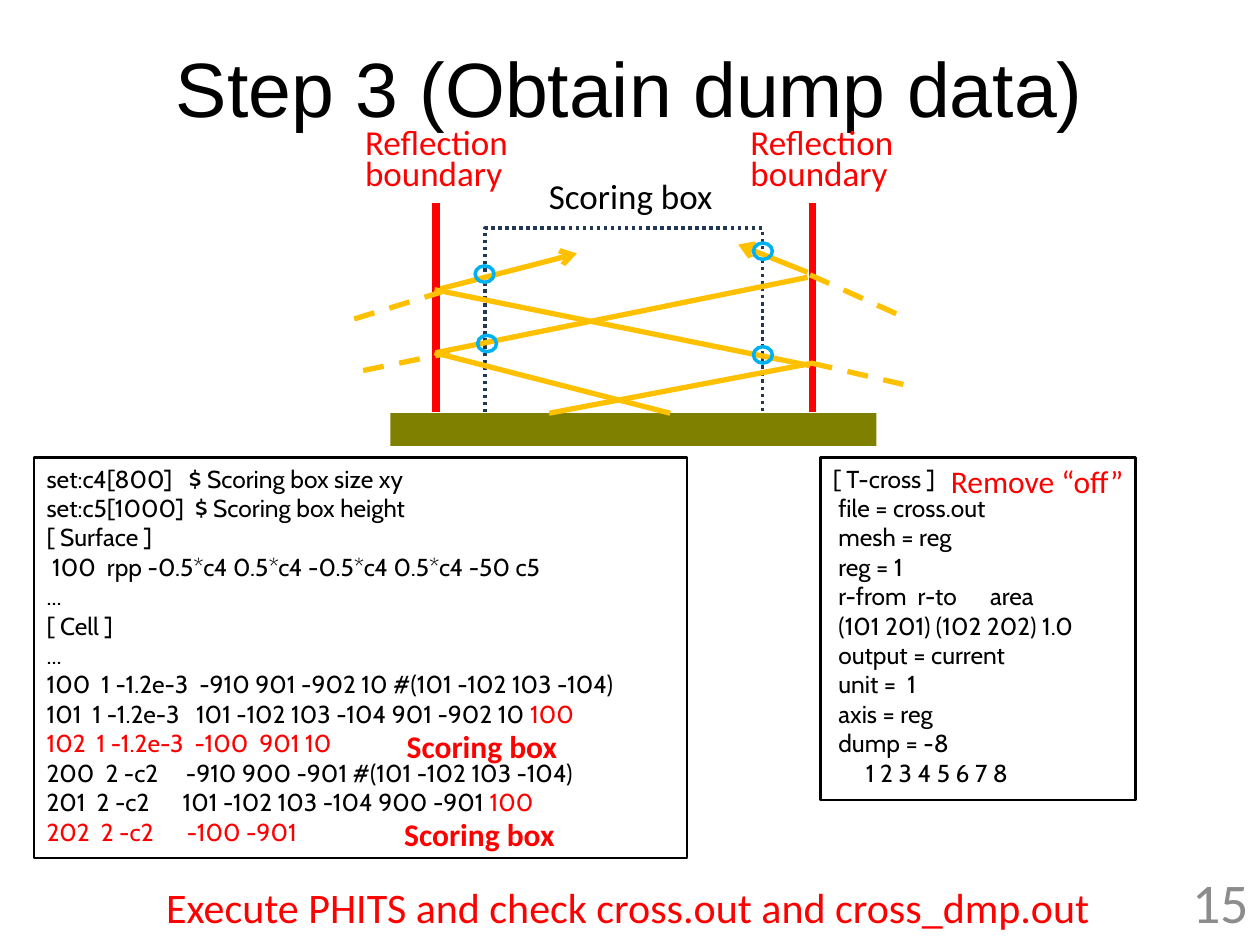
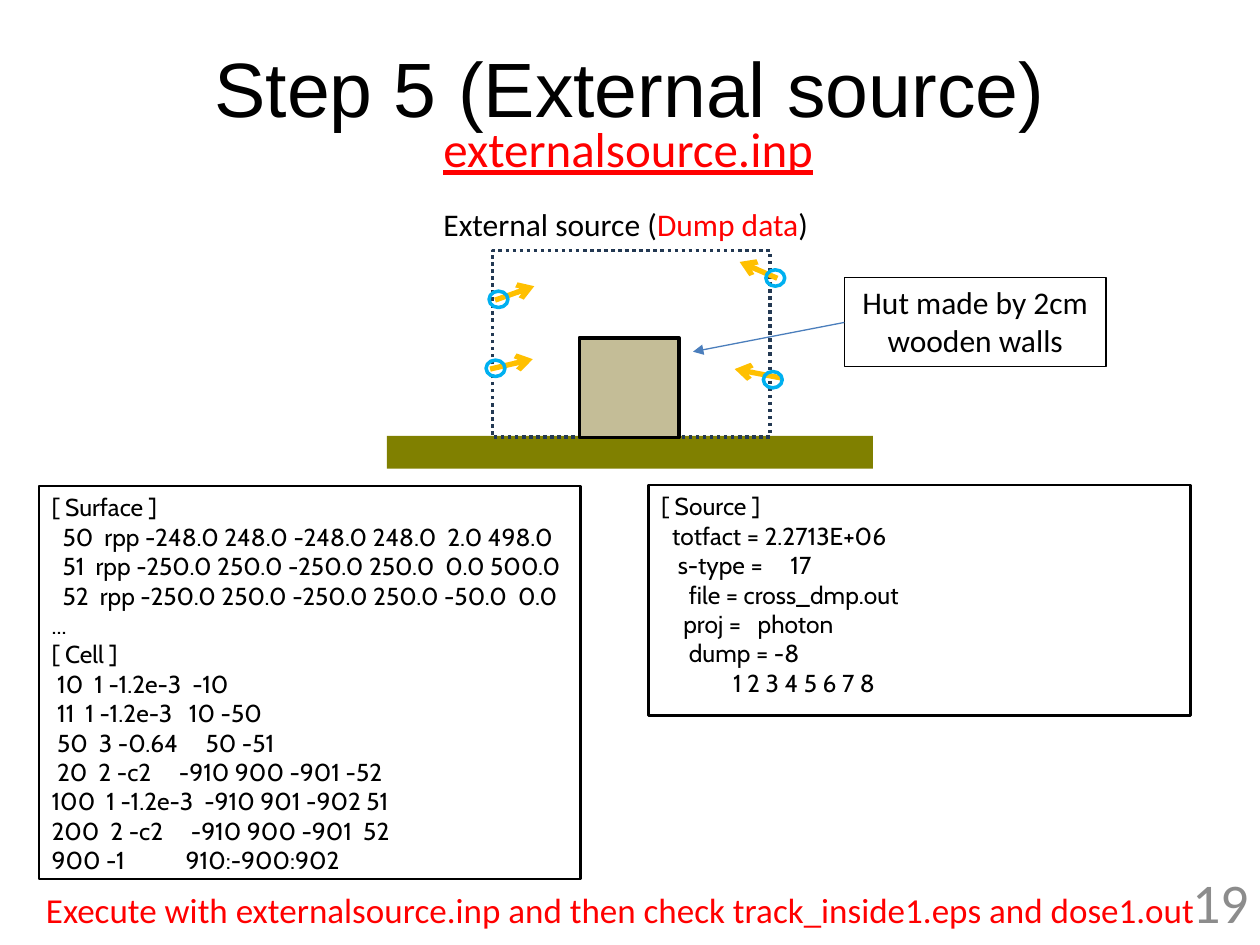
from dataclasses import dataclass
from typing import NamedTuple

from lxml import etree
from pptx import Presentation
from pptx.dml.color import RGBColor
from pptx.enum.dml import MSO_LINE
from pptx.enum.shapes import MSO_CONNECTOR, MSO_SHAPE
from pptx.enum.text import MSO_ANCHOR, PP_ALIGN
from pptx.oxml.ns import qn
from pptx.util import Cm, Pt

RECTANGLE, OVAL = MSO_SHAPE.RECTANGLE, MSO_SHAPE.OVAL
STRAIGHT = MSO_CONNECTOR.STRAIGHT
LEFT, CENTER, RIGHT = PP_ALIGN.LEFT, PP_ALIGN.CENTER, PP_ALIGN.RIGHT
TOP, MIDDLE = MSO_ANCHOR.TOP, MSO_ANCHOR.MIDDLE
DOTTED, DASHED = MSO_LINE.ROUND_DOT, MSO_LINE.DASH

BLACK, WHITE, RED, GREY = "000000", "FFFFFF", "FF0000", "8C8C8C"
NAVY, ORANGE, CYAN, BLUE = "233953", "FFC000", "00B0F0", "4B7EBC"
SOIL, WOOD = "808000", "C4BD97"
TITLE_FONT, CODE_FONT, LABEL_FONT = "Arial", "Cabin", "Calibri"


class Box(NamedTuple):
    """Left, top, width and height in centimetres."""
    left: float
    top: float
    width: float
    height: float


class Run(NamedTuple):
    text: str
    colour: str


@dataclass(frozen=True)
class TextStyle:
    size: float
    colour: str = BLACK
    font: str = LABEL_FONT
    align: int = LEFT
    anchor: int = TOP
    bold: bool = False
    underline: bool = False
    line_spacing: float | None = None


@dataclass(frozen=True)
class LineStyle:
    colour: str
    width: float
    dash: int | None = None
    arrowhead: str | None = None


class Segment(NamedTuple):
    """Start and end point in centimetres."""
    x1: float
    y1: float
    x2: float
    y2: float


# A text line is a plain string, or a list mixing strings and coloured runs
TextLine = str | list[str | Run]

TITLE = TextStyle(44, font=TITLE_FONT, align=CENTER, anchor=MIDDLE)
CODE = TextStyle(14, font=CODE_FONT)
PAGE_NUMBER = TextStyle(32, GREY, align=RIGHT, anchor=MIDDLE)
BOUNDARY_LABEL = TextStyle(20, RED, line_spacing=18)
CELL_NOTE = TextStyle(18, RED, bold=True)

OUTLINE = LineStyle(BLACK, 1.5)
SCORING_OUTLINE = LineStyle(NAVY, 2, DOTTED)
WALL = LineStyle(RED, 4.5)
TRACK = LineStyle(ORANGE, 3)
TRACK_ARROW = LineStyle(ORANGE, 3, arrowhead="arrow")
TRACK_BEYOND = LineStyle(ORANGE, 3, DASHED)
CROSSING = LineStyle(CYAN, 2)
POINTER = LineStyle(BLUE, 0.75, arrowhead="triangle")


def rgb(colour: str) -> RGBColor:
    return RGBColor.from_string(colour)


def format_line(line, style: LineStyle) -> None:
    line.color.rgb = rgb(style.colour)
    line.width = Pt(style.width)
    if style.dash is not None:
        line.dash_style = style.dash


def write_text(shape, lines: list[TextLine], style: TextStyle) -> None:
    frame = shape.text_frame
    frame.word_wrap = True
    frame.vertical_anchor = style.anchor
    for index, line in enumerate(lines):
        paragraph = frame.add_paragraph() if index else frame.paragraphs[0]
        paragraph.alignment = style.align
        if style.line_spacing is not None:
            paragraph.line_spacing = Pt(style.line_spacing)
        for piece in [line] if isinstance(line, str) else line:
            part = piece if isinstance(piece, Run) else Run(piece, style.colour)
            run = paragraph.add_run()
            run.text = part.text
            run.font.name = style.font
            run.font.size = Pt(style.size)
            run.font.color.rgb = rgb(part.colour)
            run.font.bold = style.bold
            run.font.underline = style.underline


def add_text(slide, box: Box, line: TextLine, style: TextStyle) -> None:
    write_text(slide.shapes.add_textbox(*map(Cm, box)), [line], style)


def add_figure(slide, kind: int, box: Box, fill: str | None, outline: LineStyle | None):
    shape = slide.shapes.add_shape(kind, *map(Cm, box))
    shape.shadow.inherit = False
    if fill:
        shape.fill.solid()
        shape.fill.fore_color.rgb = rgb(fill)
    else:
        shape.fill.background()
    if outline:
        format_line(shape.line, outline)
    else:
        shape.line.fill.background()
    return shape


def add_segment(slide, segment: Segment, style: LineStyle) -> None:
    connector = slide.shapes.add_connector(STRAIGHT, *map(Cm, segment))
    format_line(connector.line, style)
    properties = connector._element.spPr
    if style.arrowhead:
        tail = etree.SubElement(properties.find(qn("a:ln")), qn("a:tailEnd"))
        tail.set("type", style.arrowhead)
    etree.SubElement(properties, qn("a:effectLst"))


def add_segments(slide, segments: list[Segment], style: LineStyle) -> None:
    for segment in segments:
        add_segment(slide, segment, style)


def add_code(slide, box: Box, lines: list[TextLine]) -> None:
    write_text(add_figure(slide, RECTANGLE, box, WHITE, OUTLINE), lines, CODE)


def add_ground(slide, left: float, top: float) -> None:
    add_figure(slide, RECTANGLE, Box(left, top, 9.8, 0.66), SOIL, None)


def add_scoring_box(slide, left: float, top: float) -> None:
    add_figure(slide, RECTANGLE, Box(left, top, 5.59, 3.76), None, SCORING_OUTLINE)


def add_crossings(slide, corners: list[tuple[float, float]]) -> None:
    for left, top in corners:
        add_figure(slide, OVAL, Box(left, top, 0.38, 0.33), None, CROSSING)


def add_titled_slide(presentation, title: str, number: str):
    slide = presentation.slides.add_slide(presentation.slide_layouts[6])
    add_text(slide, Box(1.27, 0.15, 22.86, 3.18), title, TITLE)
    add_text(slide, Box(19.51, 17.65, 5.92, 1.02), number, PAGE_NUMBER)
    return slide


def build_dump_slide(presentation) -> None:
    slide = add_titled_slide(presentation, "Step 3 (Obtain dump data)", "15")

    # Scoring box between two reflecting walls
    add_scoring_box(slide, 9.78, 4.6)
    add_segments(slide, [Segment(16.28, 5.49, 14.88, 4.93),
                         Segment(8.81, 5.84, 11.63, 5.11)], TRACK_ARROW)
    add_ground(slide, 7.87, 8.33)
    add_segments(slide, [Segment(x, 4.09, x, 8.31) for x in (8.79, 16.38)], WALL)
    add_segments(slide, [Segment(11.07, 8.33, 16.38, 7.32),
                         Segment(8.76, 5.84, 16.33, 7.37),
                         Segment(8.76, 7.11, 13.51, 8.33),
                         Segment(8.79, 7.11, 16.28, 5.59)], TRACK)
    add_segments(slide, [Segment(7.14, 6.43, 8.89, 5.89),
                         Segment(7.32, 7.47, 9.07, 7.11),
                         Segment(16.36, 7.32, 18.21, 7.75),
                         Segment(16.33, 5.54, 18.19, 6.38)], TRACK_BEYOND)
    add_crossings(slide, [(15.19, 4.9), (9.58, 5.36), (15.19, 6.99), (9.63, 6.76)])
    for left in (7.11, 14.88):
        add_text(slide, Box(left, 2.51, 3.4, 1.57), "Reflection boundary", BOUNDARY_LABEL)
    add_text(slide, Box(10.24, 3.4, 4.95, 1.12), "Scoring box", TextStyle(20, align=CENTER))

    # Tally input
    add_code(slide, Box(16.54, 9.22, 6.35, 6.91), [
        "[ T-cross ]",
        " file = cross.out",
        " mesh = reg",
        " reg = 1",
        " r-from  r-to      area",
        " (101 201) (102 202) 1.0",
        " output = current",
        " unit =  1",
        " axis = reg",
        " dump = -8",
        "      1 2 3 4 5 6 7 8",
    ])
    add_text(slide, Box(18.92, 9.19, 4.37, 1.02), "Remove “off”", TextStyle(18, RED))

    # Geometry input
    add_code(slide, Box(0.69, 9.22, 13.16, 8.08), [
        "set:c4[800]   $ Scoring box size xy",
        "set:c5[1000]  $ Scoring box height",
        "[ Surface ]",
        " 100  rpp -0.5*c4 0.5*c4 -0.5*c4 0.5*c4 -50 c5",
        "...",
        "[ Cell ]",
        "...",
        "100  1 -1.2e-3  -910 901 -902 10 #(101 -102 103 -104)",
        ["101  1 -1.2e-3   101 -102 103 -104 901 -902 10 ", Run("100", RED)],
        [Run("102  1 -1.2e-3  -100  901 10", RED)],
        "200  2 -c2     -910 900 -901 #(101 -102 103 -104)",
        ["201  2 -c2      101 -102 103 -104 900 -901", Run(" 100", RED)],
        [Run("202  2 -c2      -100 -901", RED)],
    ])
    for left, top in ((7.95, 14.53), (7.9, 16.31)):
        add_text(slide, Box(left, top, 3.91, 1.02), "Scoring box", CELL_NOTE)

    add_text(slide, Box(2.31, 17.65, 20.7, 1.27),
             "Execute PHITS and check cross.out and cross_dmp.out",
             TextStyle(24, RED, align=CENTER))


def build_source_slide(presentation) -> None:
    slide = add_titled_slide(presentation, "Step 5 (External source)", "19")

    # Hut inside the scoring box
    add_ground(slide, 7.8, 8.79)
    add_scoring_box(slide, 9.93, 5.05)
    add_figure(slide, RECTANGLE, Box(11.68, 6.81, 2.01, 2.01), WOOD, LineStyle(BLACK, 2))
    add_segments(slide, [Segment(9.88, 7.44, 10.74, 7.24),
                         Segment(9.98, 6.05, 10.77, 5.77),
                         Segment(15.67, 5.61, 14.91, 5.28),
                         Segment(15.75, 7.62, 14.81, 7.44)], TRACK_ARROW)
    add_crossings(slide, [(15.44, 5.44), (9.86, 5.87), (15.39, 7.49), (9.8, 7.26)])
    add_text(slide, Box(8.69, 4.01, 8.1, 1.02),
             ["External source (", Run("Dump data", RED), ")"], TextStyle(18))

    # Geometry and source input
    add_code(slide, Box(0.79, 9.8, 10.92, 7.92), [
        "[ Surface ]",
        "  50  rpp -248.0 248.0 -248.0 248.0  2.0 498.0",
        "  51  rpp -250.0 250.0 -250.0 250.0  0.0 500.0",
        "  52  rpp -250.0 250.0 -250.0 250.0 -50.0  0.0",
        "...",
        "[ Cell ]",
        " 10  1 -1.2e-3  -10",
        " 11  1 -1.2e-3   10 -50",
        " 50  3 -0.64     50 -51",
        " 20  2 -c2     -910 900 -901 -52",
        "100  1 -1.2e-3  -910 901 -902 51",
        "200  2 -c2     -910 900 -901  52",
        "900 -1           910:-900:902",
    ])
    add_code(slide, Box(13.08, 9.78, 10.92, 4.65), [
        "[ Source ]",
        "  totfact = 2.2713E+06",
        "   s-type =     17",
        "     file = cross_dmp.out",
        "    proj =   photon",
        "     dump = -8",
        "             1 2 3 4 5 6 7 8",
    ])

    # File name, instruction and hut label
    add_text(slide, Box(8.69, 2.26, 8.1, 1.45), "externalsource.inp",
             TextStyle(28, RED, underline=True))
    add_text(slide, Box(-0.38, 17.78, 25.78, 1.12),
             "Execute with externalsource.inp and then check track_inside1.eps and dose1.out",
             TextStyle(20, RED, align=CENTER))
    hut_label = add_figure(slide, RECTANGLE, Box(17.02, 5.59, 5.28, 1.8), None,
                           LineStyle(BLACK, 0.75))
    write_text(hut_label, ["Hut made by 2cm wooden walls"], TextStyle(18, align=CENTER))
    add_segment(slide, Segment(17.02, 6.5, 13.97, 7.09), POINTER)


def main() -> None:
    presentation = Presentation()
    presentation.slide_width, presentation.slide_height = Cm(25.4), Cm(19.05)
    build_dump_slide(presentation)
    build_source_slide(presentation)
    presentation.save("out.pptx")


if __name__ == "__main__":
    main()
